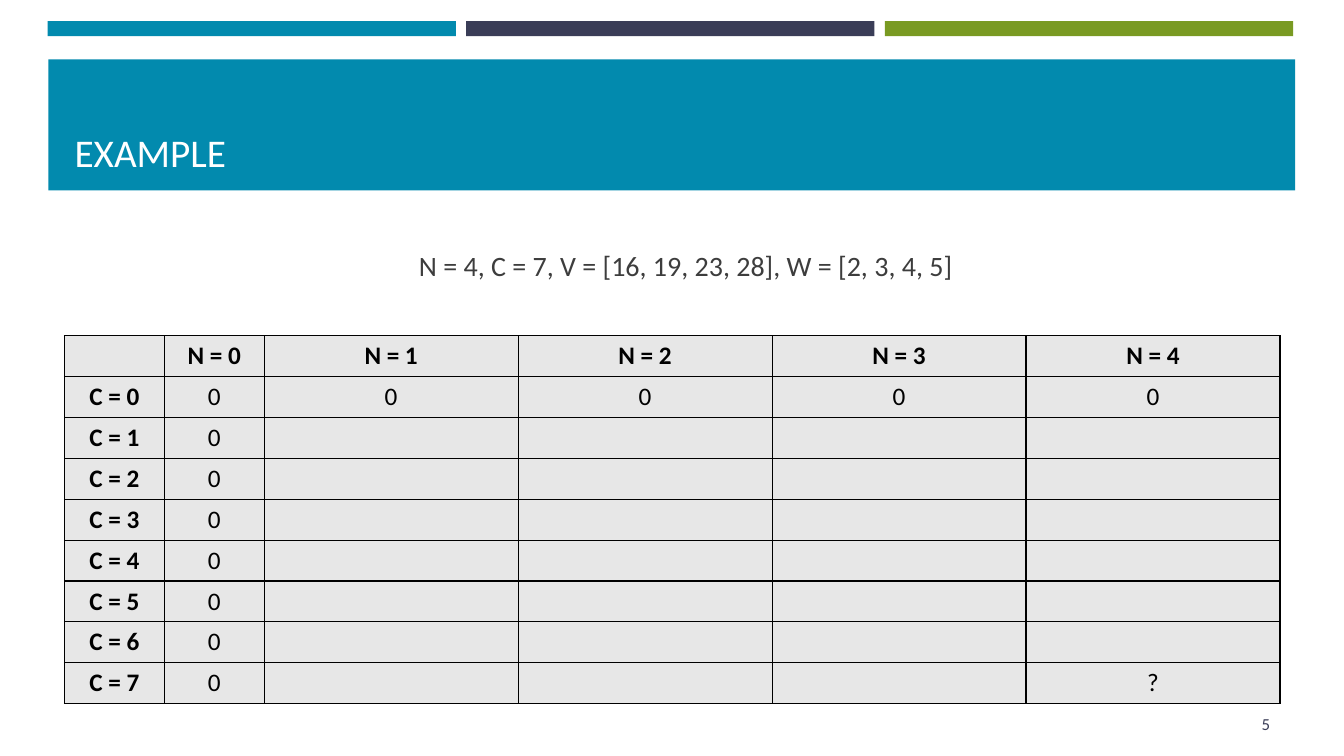
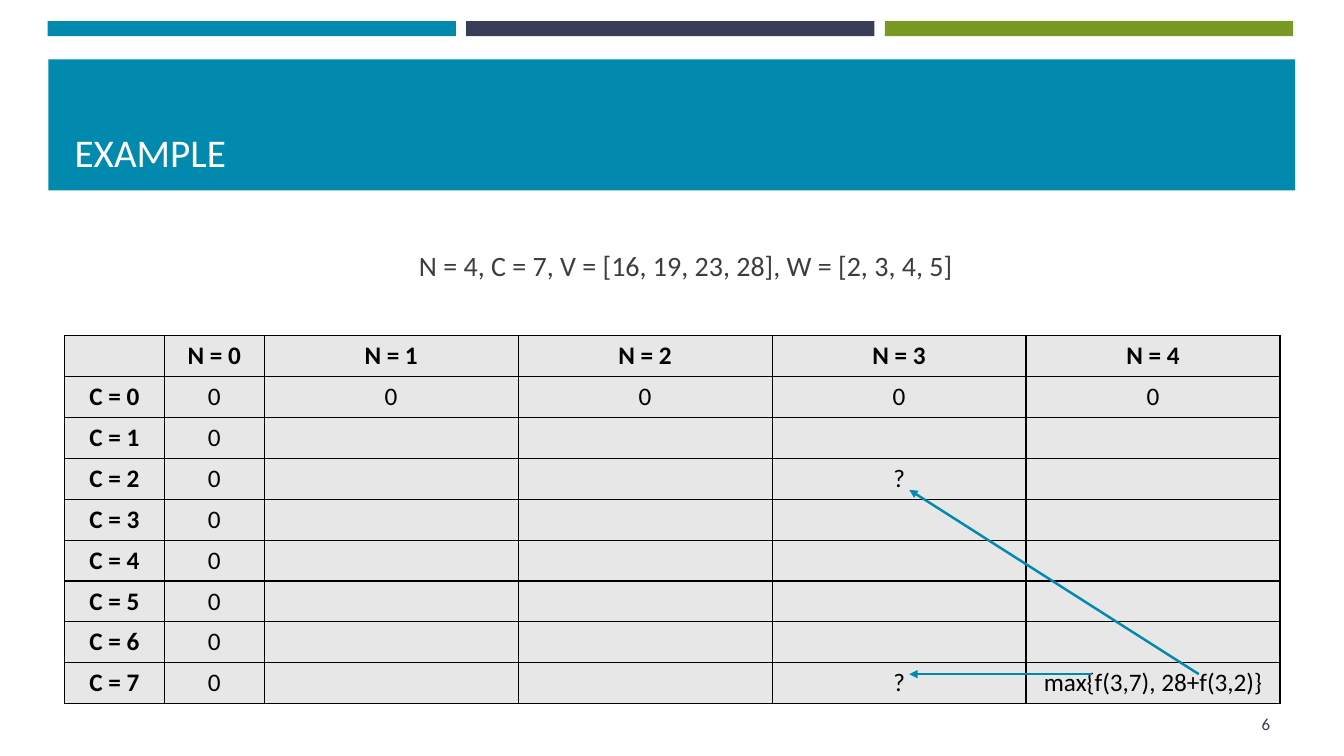
from pptx import Presentation
from pptx.dml.color import RGBColor
from pptx.enum.shapes import MSO_CONNECTOR as Conn, MSO_SHAPE as Shape
from pptx.enum.text import MSO_ANCHOR as Anchor, MSO_AUTO_SIZE as Auto, PP_ALIGN as Align
from pptx.oxml import parse_xml
from pptx.oxml.ns import nsdecls
from pptx.util import Pt

FONT = "Calibri"
TEAL, NAVY, GREEN = "028AAE", "3A3D57", "799A22"
WHITE, BLACK, GREY, DARK = "FFFFFF", "000000", "E7E7E7", "3D3D3D"

BARS = (34, 15.1, 291.6, 10.8)
STEP = 299
BAND = (34.6, 42.5, 890.6, 93.6)
TITLE = (46.1, 50.4, 868.3, 78.5)
BODY = (46.1, 150.5, 862.6, 78.5)
NUMBER = (831.6, 502.6, 82.8, 28.8)
GRID = (46.1, 239.8, 868.3, 262.8)
COLS, ROWS, SIDE = 6, 9, 71.3
GIVEN = "N = 4, C = 7, V = [16, 19, 23, 28], W = [2, 3, 4, 5]"


def color(code):
    """Turn a hex string into a colour."""
    return RGBColor.from_string(code)


def add_xml(parent, body):
    """Append a drawing element, given without its namespace."""
    tag, rest = body[1:].split(">", 1)
    end = "/" if tag.endswith("/") else ""
    parent.append(parse_xml(f"<{tag.rstrip('/')} {nsdecls('a')}{end}>{rest}"))


def place(shape, box):
    """Move and size a shape to a box."""
    shape.left, shape.top, shape.width, shape.height = map(Pt, box)


def write(frame, text, size, ink, align=Align.LEFT, anchor=Anchor.MIDDLE, bold=False):
    """Write one styled paragraph and return it."""
    frame.text = text
    frame.word_wrap = True
    frame.vertical_anchor = anchor
    para = frame.paragraphs[0]
    para.alignment = align
    font = para.font
    font.name, font.size, font.bold = FONT, Pt(size), bold
    font.color.rgb = color(ink)
    return para


def add_block(slide, box, fill, depth):
    """Add a plain rectangle at a depth behind the text."""
    block = slide.shapes.add_shape(Shape.RECTANGLE, *map(Pt, box))
    block.shadow.inherit = False
    block.fill.solid()
    block.fill.fore_color.rgb = color(fill)
    block.line.fill.background()
    slide.shapes.element.insert(2 + depth, block.element)


def add_frame(slide, number):
    """Add the bars, title band, title and page number."""
    left, top, width, height = BARS
    for i, fill in enumerate((TEAL, NAVY, GREEN)):
        add_block(slide, (left + i * STEP, top, width, height), fill, i)
    add_block(slide, BAND, TEAL, 3)
    title = slide.shapes.title
    place(title, TITLE)
    write(title.text_frame, "EXAMPLE", 28, WHITE, anchor=Anchor.BOTTOM)
    title.text_frame.auto_size = Auto.NONE
    page = slide.shapes.add_textbox(*map(Pt, NUMBER))
    write(page.text_frame, str(number), 12, NAVY, Align.RIGHT)


def add_given(slide, box):
    """Fill the body with the centred problem data."""
    body = slide.placeholders[1]
    place(body, box)
    para = write(body.text_frame, GIVEN, 20, DARK, Align.CENTER)
    body.text_frame.auto_size = Auto.NONE
    para.level = 1
    para.space_after = Pt(6)
    props = para._p.get_or_add_pPr()
    props.set("marL", str(Pt(25.2)))
    props.set("indent", "0")
    mark = parse_xml(f"<a:buNone {nsdecls('a')}/>")
    props.insert(len(props) - 1, mark)  # must precede the default font


def set_cell(cell, text, bold):
    """Fill, border and write one cell."""
    write(cell.text_frame, text, 18, BLACK, Align.CENTER, bold=bold)
    cell.vertical_anchor = Anchor.MIDDLE
    props = cell._tc.get_or_add_tcPr()
    for side in "LRTB":
        add_xml(props, f'<a:ln{side} w="{Pt(1)}"><a:solidFill>'
                       f'<a:srgbClr val="{BLACK}"/></a:solidFill></a:ln{side}>')
    cell.fill.solid()
    cell.fill.fore_color.rgb = color(GREY)


def label(row, col, marks):
    """Give the text of a cell: heading, zero edge or mark."""
    if row == col == 0:
        return ""
    if row == 0:
        return f"N = {col - 1}"
    if col == 0:
        return f"C = {row - 1}"
    return "0" if 1 in (row, col) else marks.get((row - 1, col - 1), "")


def add_grid(slide, box, marks):
    """Add the table, with marks keyed by (C, N)."""
    table = slide.shapes.add_table(ROWS, COLS, *map(Pt, box)).table
    table.first_row = table.horz_banding = False
    wide = (box[2] - 2 * SIDE) / (COLS - 2)
    for col in range(COLS):
        table.columns[col].width = Pt(SIDE if col < 2 else wide)
    for row in range(ROWS):
        table.rows[row].height = Pt(box[3] / ROWS)
        for col in range(COLS):
            set_cell(table.cell(row, col), label(row, col, marks), 0 in (row, col))


def spot(box, c, n, across, down):
    """Find a point in cell (C, N), n above 0, by fractions of its size."""
    wide, high = (box[2] - 2 * SIDE) / (COLS - 2), box[3] / ROWS
    return (box[0] + 2 * SIDE + (n - 1 + across) * wide,
            box[1] + (c + 1 + down) * high)


def add_arrow(slide, start, end):
    """Draw a teal arrow between two points."""
    arrow = slide.shapes.add_connector(Conn.STRAIGHT, *map(Pt, start + end))
    arrow.line.color.rgb = color(TEAL)
    arrow.line.width = Pt(1.75)
    add_xml(arrow.line._get_or_add_ln(), '<a:tailEnd type="triangle"/>')
    add_xml(arrow._element.spPr, "<a:effectLst/>")


def add_example(deck, number, marks):
    """Add one example slide and return it."""
    slide = deck.slides.add_slide(deck.slide_layouts[1])
    add_frame(slide, number)
    add_given(slide, BODY)
    add_grid(slide, GRID, marks)
    return slide


deck = Presentation()
deck.slide_width, deck.slide_height = Pt(960), Pt(540)
add_example(deck, 5, {(7, 4): "?"})
step = add_example(deck, 6, {(2, 3): "?", (7, 3): "?", (7, 4): "max{f(3,7), 28+f(3,2)}"})
add_arrow(step, spot(GRID, 7, 4, 0.26, 0.28), spot(GRID, 7, 3, 0.54, 0.28))
add_arrow(step, spot(GRID, 7, 4, 0.68, 0.28), spot(GRID, 2, 3, 0.54, 0.77))
deck.save("out.pptx")
